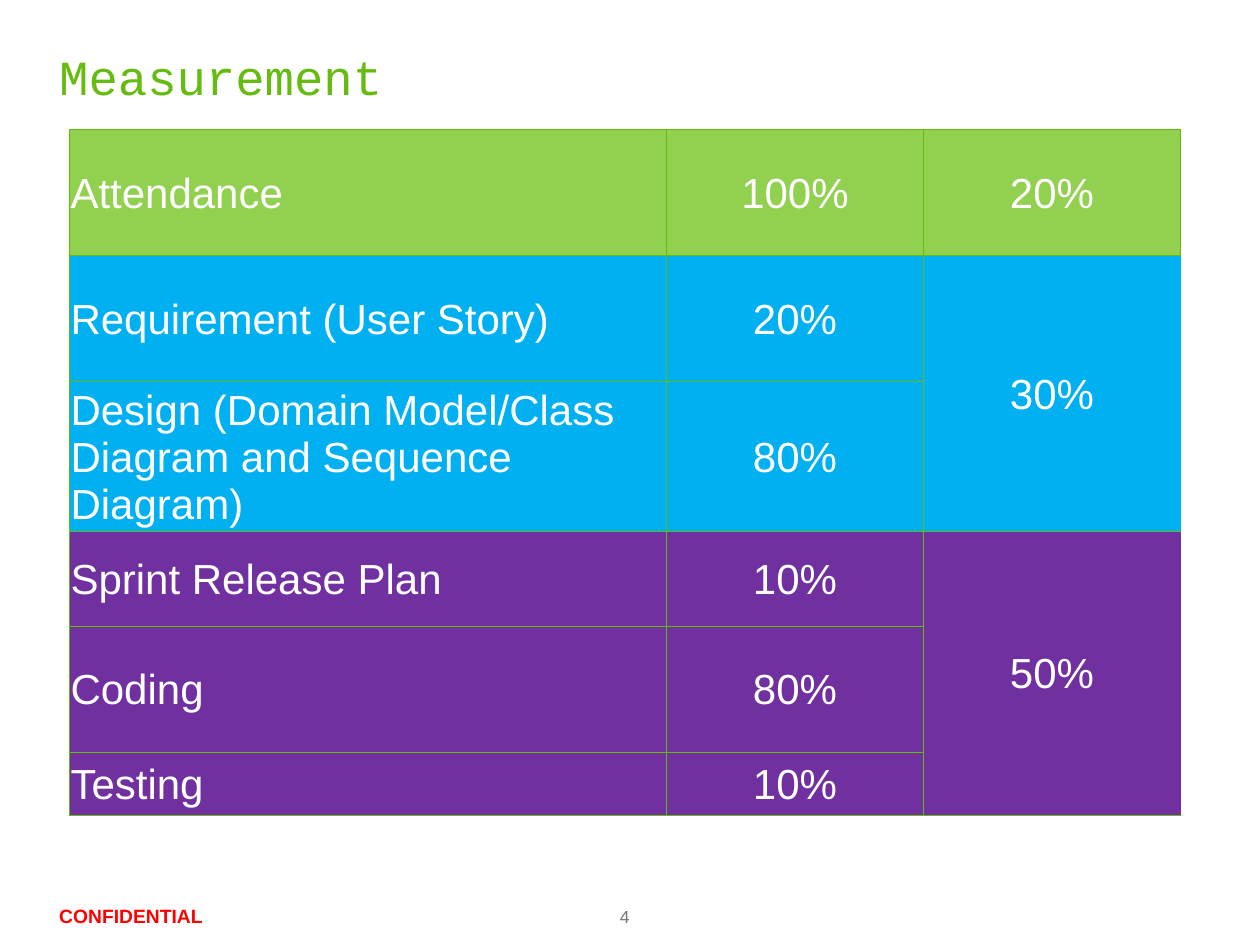
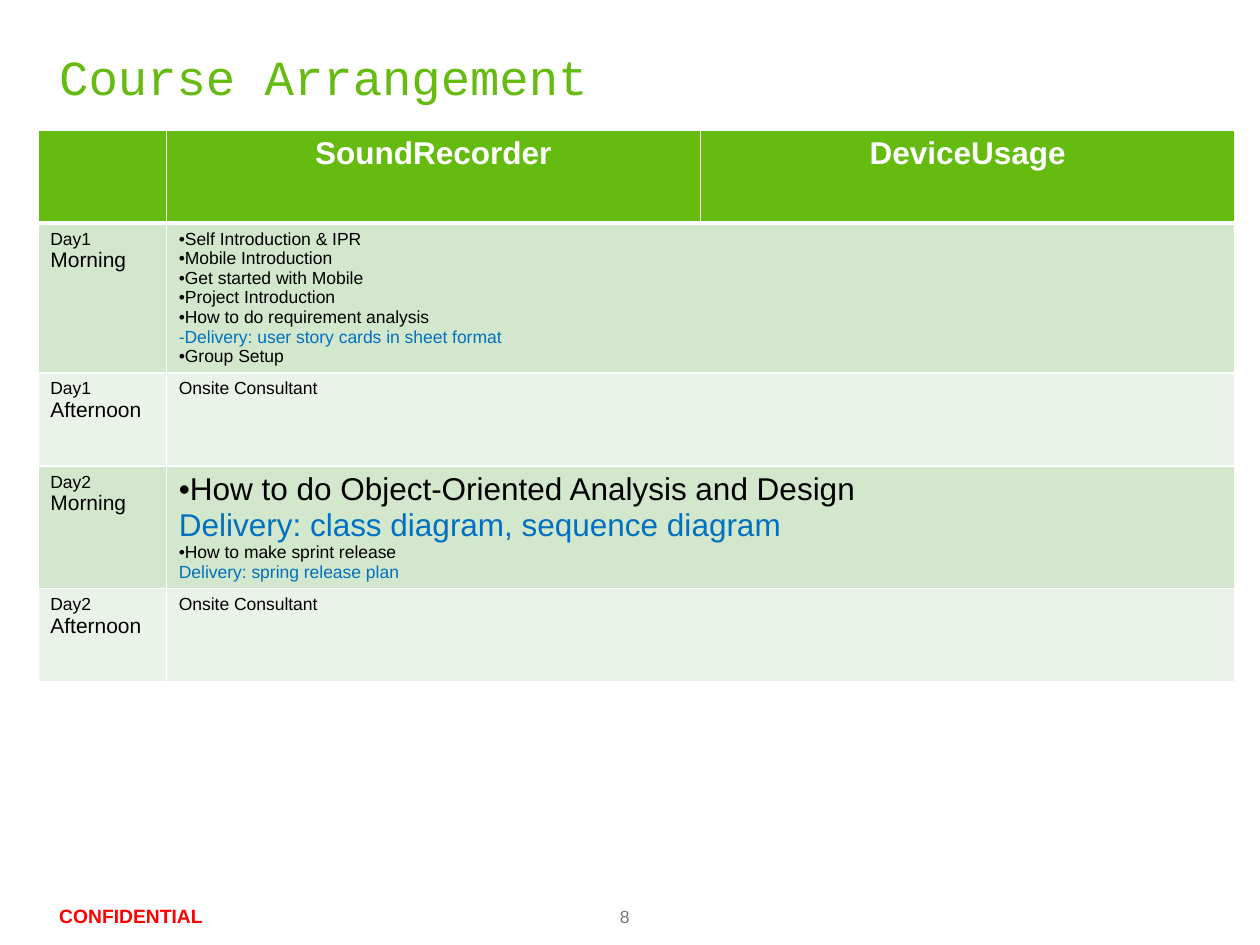
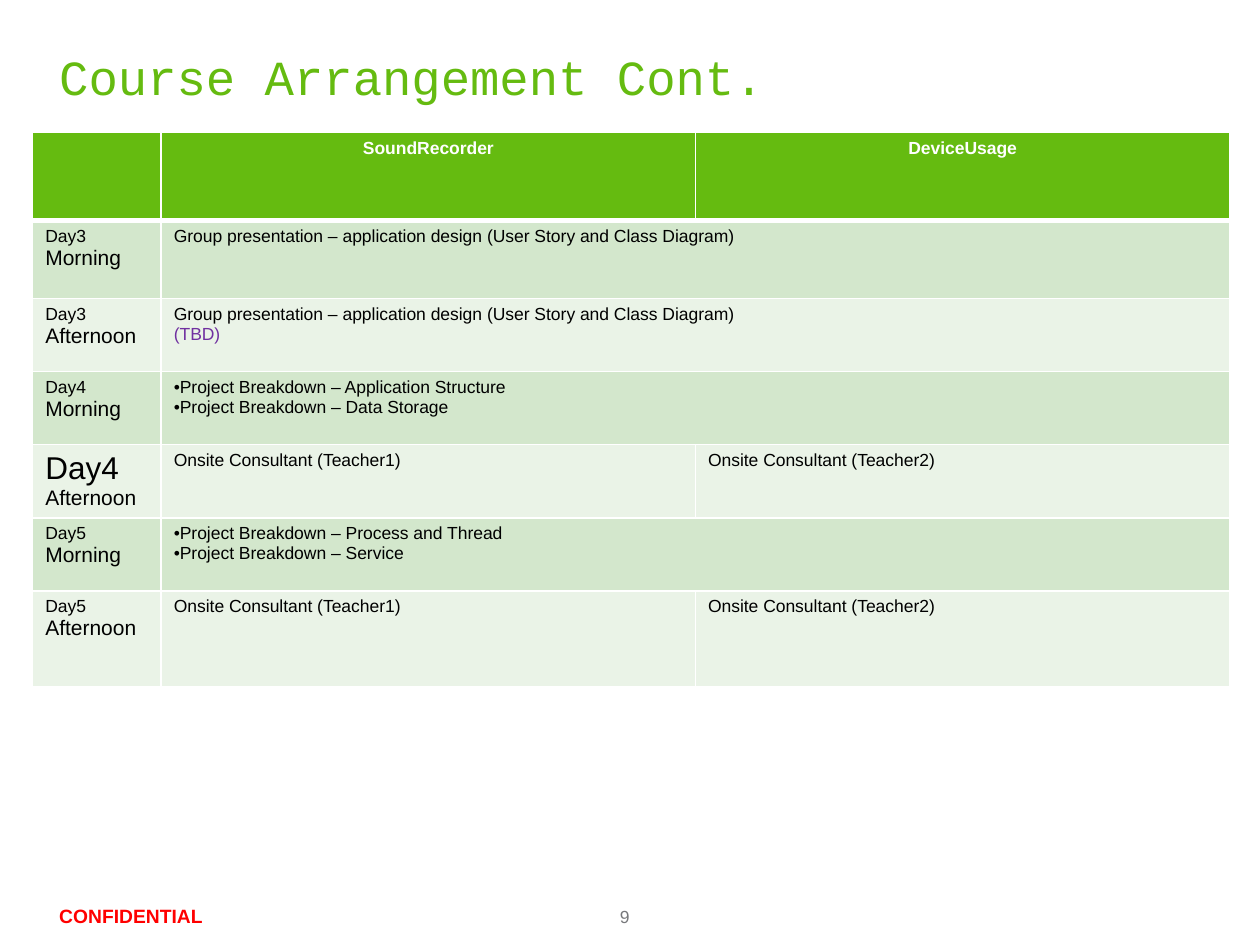
from dataclasses import dataclass

from lxml import etree
from pptx import Presentation
from pptx.dml.color import RGBColor
from pptx.enum import text as t
from pptx.oxml import ns
from pptx.util import Inches, Pt

# Shared look
GREEN = RGBColor(0x65, 0xBB, 0x10)
GRID_GREEN = RGBColor(0x63, 0xBB, 0x0B)
LIME = RGBColor(0x92, 0xD0, 0x50)
SKY = RGBColor(0x00, 0xB0, 0xF0)
PURPLE = RGBColor(0x70, 0x30, 0xA0)
BLUE = RGBColor(0x00, 0x70, 0xC0)
BAND_DARK = RGBColor(0xD3, 0xE7, 0xCC)
BAND_LIGHT = RGBColor(0xEA, 0xF3, 0xE7)
WHITE = RGBColor(0xFF, 0xFF, 0xFF)
BLACK = RGBColor(0x00, 0x00, 0x00)
RED = RGBColor(0xFF, 0x00, 0x00)
GRAY = RGBColor(0x77, 0x78, 0x7B)
BODY_FONT, TITLE_FONT = "Arial", "Courier New"
LINE_HEIGHT = 1.12
TITLE_BOX = (0.47, 0.35, 9.06, 0.57)
NUMBER_BOX = (4.92, 7.12, 1.18, 0.21)
NOTICE_BOX = (0.47, 7.12, 1.45, 0.21)
LEFT, CENTER = t.PP_ALIGN.LEFT, t.PP_ALIGN.CENTER


@dataclass
class Line:
    text: str
    size: float = 10
    color: RGBColor = BLACK
    bold: bool = False
    align: int = LEFT
    bullet: bool = False


def bullets(*texts):
    return [Line(text, bullet=True) for text in texts]


def add_run(para, line, font=BODY_FONT):
    span = para.add_run()
    span.text = line.text
    span.font.name = font
    span.font.size = Pt(line.size)
    span.font.bold = line.bold
    span.font.color.rgb = line.color


def clear_margins(frame):
    frame.margin_left = frame.margin_top = 0
    frame.margin_right = frame.margin_bottom = 0


# Title and footer
def add_title(page, title):
    box = page.shapes.title
    box.left, box.top, box.width, box.height = map(Inches, TITLE_BOX)
    frame = box.text_frame
    clear_margins(frame)
    frame.margin_top = Inches(0.02)
    frame.auto_size = t.MSO_AUTO_SIZE.NONE
    frame.vertical_anchor = t.MSO_ANCHOR.TOP
    para = frame.paragraphs[0]
    para.alignment = LEFT
    add_run(para, Line(title, 28, GREEN), TITLE_FONT)


def add_footer_text(page, bounds, line):
    frame = page.shapes.add_textbox(*map(Inches, bounds)).text_frame
    clear_margins(frame)
    frame.word_wrap = True
    frame.auto_size = t.MSO_AUTO_SIZE.SHAPE_TO_FIT_TEXT
    para = frame.paragraphs[0]
    para.line_spacing = Pt(17)
    add_run(para, line)


def add_page(deck, title, number):
    page = deck.slides.add_slide(deck.slide_layouts[5])
    add_footer_text(page, NUMBER_BOX, Line(str(number), 10, GRAY))
    add_footer_text(page, NOTICE_BOX, Line("CONFIDENTIAL", 11, RED, True))
    add_title(page, title)
    return page


# Tables
def set_borders(cell, color, left=1, right=1, top=1, bottom=1):
    properties = cell._tc.get_or_add_tcPr()
    sides = {"L": left, "R": right, "T": top, "B": bottom}
    for index, (side, width) in enumerate(sides.items()):
        border = etree.Element(ns.qn(f"a:ln{side}"), w=str(Pt(width)))
        if width:
            fill = etree.SubElement(border, ns.qn("a:solidFill"))
            etree.SubElement(fill, ns.qn("a:srgbClr"), val=str(color))
        else:
            etree.SubElement(border, ns.qn("a:noFill"))
        properties.insert(index, border)


def add_bullet(para):
    properties = para._p.get_or_add_pPr()
    properties.set("marL", "0")
    properties.set("indent", "0")
    etree.SubElement(properties, ns.qn("a:buFont"), typeface=BODY_FONT)
    etree.SubElement(properties, ns.qn("a:buChar"), char="•")


def fill_cell(cell, lines, color):
    cell.fill.solid()
    cell.fill.fore_color.rgb = color
    frame = cell.text_frame
    for index, line in enumerate(lines):
        para = frame.add_paragraph() if index else frame.paragraphs[0]
        para.alignment = line.align
        para.line_spacing = Pt(line.size * LINE_HEIGHT)
        if line.bullet:
            add_bullet(para)
        add_run(para, line)


def add_grid(page, left, top, widths, heights):
    size = map(Inches, (left, top, sum(widths), sum(heights)))
    table = page.shapes.add_table(len(heights), len(widths), *size).table
    table.first_row = table.horz_banding = False
    for column, width in zip(table.columns, widths):
        column.width = Inches(width)
    for row, height in zip(table.rows, heights):
        row.height = Inches(height)
    return table


def add_measurement_table(page, left, top, groups):
    rows = [row for group in groups for row in group[2]]
    table = add_grid(page, left, top, [4.74, 2.04, 2.04],
                     [height for _, _, height in rows])
    start = 0
    for color, weight, items in groups:
        end = start + len(items) - 1
        for offset, (name, share, _) in enumerate(items):
            texts = (name, share, "" if offset else weight)
            for column, text in enumerate(texts):
                cell = table.cell(start + offset, column)
                align = CENTER if column else LEFT
                lines = [Line(text, 24, WHITE, align=align)] if text else []
                fill_cell(cell, lines, color)
                cell.vertical_anchor = t.MSO_ANCHOR.MIDDLE
                cell.margin_left = cell.margin_right = Inches(0.01)
                cell.margin_top, cell.margin_bottom = Inches(0.01), 0
                open_side = column == 2 and end > start
                set_borders(cell, GRID_GREEN, 0.75, 0 if open_side else 0.75,
                            0.75, 0.75)
        if end > start:
            table.cell(start, 2).merge(table.cell(end, 2))
        start = end + 1


def add_schedule_table(page, left, top, heights, header_size, sessions):
    """Each session is a day label followed by one shared or two separate cells."""
    table = add_grid(page, left, top, [1.02, 4.24, 4.24], heights)
    header = [[]] + [[Line(name, header_size, WHITE, True, CENTER)]
                     for name in ("SoundRecorder", "DeviceUsage")]
    for row, cells in enumerate([header] + sessions):
        color = (BAND_DARK if row % 2 else BAND_LIGHT) if row else GREEN
        for column in range(3):
            cell = table.cell(row, column)
            fill_cell(cell, cells[column] if column < len(cells) else [], color)
            set_borders(cell, WHITE, top=3 if row == 1 else 1,
                        bottom=1 if row else 3)
        if len(cells) == 2:
            table.cell(row, 1).merge(table.cell(row, 2))


def day(number, half, size=10):
    return [Line(f"Day{number}", size), Line(half, 12)]


# Slides
def build_measurement(deck):
    page = add_page(deck, "Measurement", 4)
    add_measurement_table(page, 0.55, 1.03, [
        (LIME, "20%", [("Attendance", "100%", 1)]),
        (SKY, "30%", [
            ("Requirement (User Story)", "20%", 1),
            ("Design (Domain Model/Class Diagram and Sequence Diagram)", "80%", 1.19),
        ]),
        (PURPLE, "50%", [
            ("Sprint Release Plan", "10%", 0.75),
            ("Coding", "80%", 1),
            ("Testing", "10%", 0.5),
        ]),
    ])


def build_first_days(deck):
    page = add_page(deck, "Course Arrangement", 8)
    consultant = [Line("Onsite Consultant")]
    introduction = bullets(
        "Self Introduction & IPR", "Mobile Introduction",
        "Get started with Mobile", "Project Introduction",
        "How to do requirement analysis")
    introduction.append(Line("-Delivery: user story cards in sheet format", color=BLUE))
    introduction += bullets("Group Setup")
    design = [
        Line("How to do Object-Oriented Analysis and Design", 18, bullet=True),
        Line("Delivery: class diagram, sequence diagram", 18, BLUE),
        Line("How to make sprint release", bullet=True),
        Line("Delivery: spring release plan", color=BLUE),
    ]
    add_schedule_table(page, 0.3, 1.03, [0.74] * 5, 18, [
        [day(1, "Morning"), introduction],
        [day(1, "Afternoon"), consultant],
        [day(2, "Morning"), design],
        [day(2, "Afternoon"), consultant],
    ])


def build_last_days(deck):
    page = add_page(deck, "Course Arrangement Cont.", 9)
    talk = Line("Group presentation – application design (User Story and Class Diagram)")
    teachers = [[Line(f"Onsite Consultant (Teacher{number})")] for number in (1, 2)]
    heights = [0.7, 0.62] + [0.58] * 4 + [0.76]
    add_schedule_table(page, 0.26, 1.05, heights, 10, [
        [day(3, "Morning"), [talk]],
        [day(3, "Afternoon"), [talk, Line("(TBD)", color=PURPLE)]],
        [day(4, "Morning"), bullets("Project Breakdown – Application Structure",
                                    "Project Breakdown – Data Storage")],
        [day(4, "Afternoon", 18), *teachers],
        [day(5, "Morning"), bullets("Project Breakdown – Process and Thread",
                                    "Project Breakdown – Service")],
        [day(5, "Afternoon"), *teachers],
    ])


def main():
    deck = Presentation()
    deck.slide_width, deck.slide_height = Inches(10), Inches(7.5)
    build_measurement(deck)
    build_first_days(deck)
    build_last_days(deck)
    deck.save("out.pptx")


if __name__ == "__main__":
    main()
